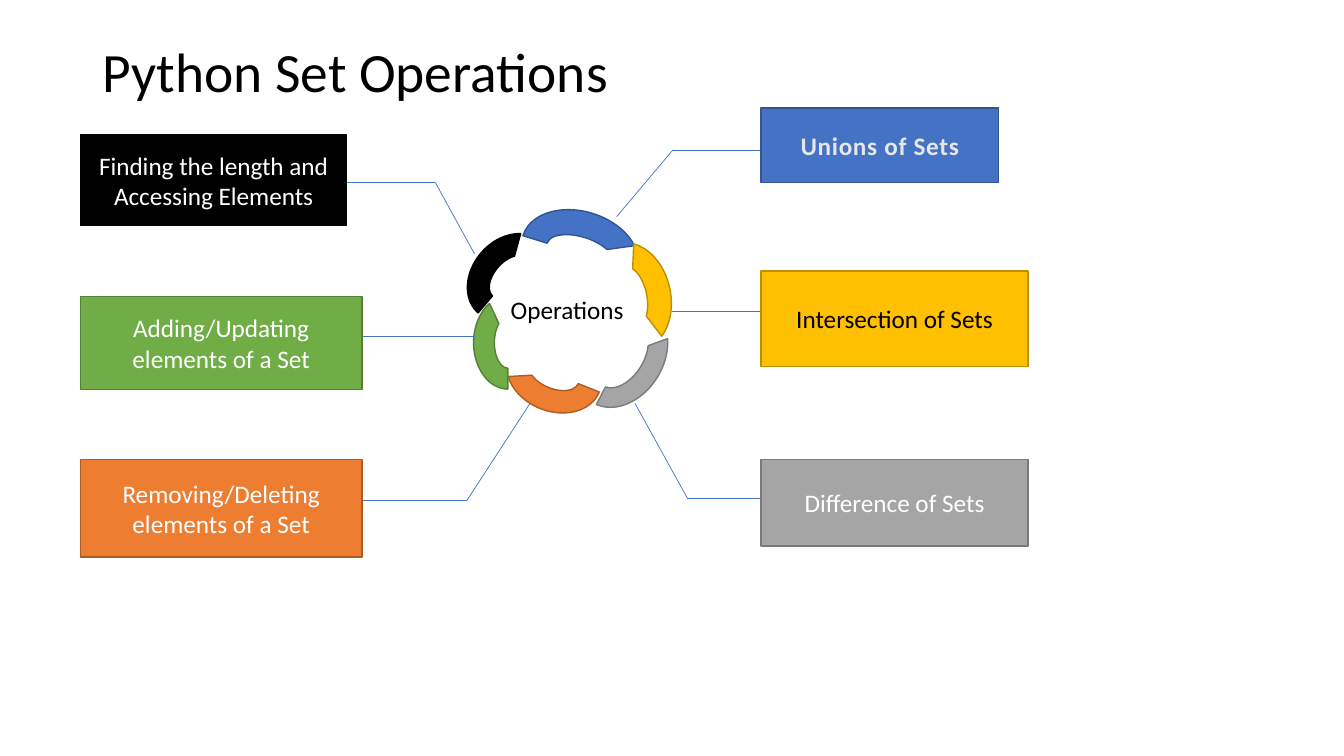
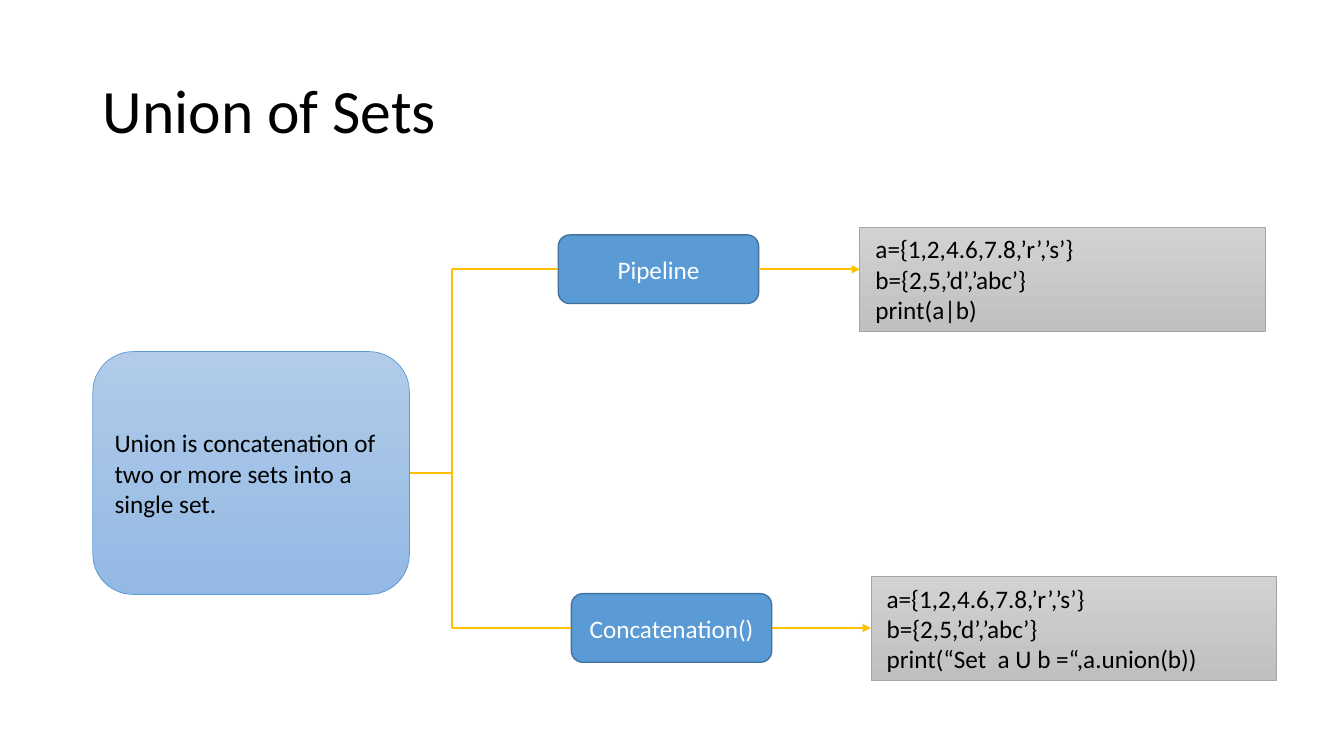
"""Build two slides on Python set operations: an overview wheel and the union methods."""
from itertools import pairwise

from lxml import etree
from pptx import Presentation
from pptx.dml.color import RGBColor
from pptx.enum.shapes import MSO_CONNECTOR, MSO_SHAPE
from pptx.enum.text import MSO_ANCHOR, PP_ALIGN
from pptx.oxml.ns import qn
from pptx.util import Cm, Pt

ARC, RECT, ROUNDED = MSO_SHAPE.BLOCK_ARC, MSO_SHAPE.RECTANGLE, MSO_SHAPE.ROUNDED_RECTANGLE
STRAIGHT = MSO_CONNECTOR.STRAIGHT
MIDDLE, LEFT, CENTER = MSO_ANCHOR.MIDDLE, PP_ALIGN.LEFT, PP_ALIGN.CENTER

FONT = "Calibri"
BODY_SIZE = 18
BLACK = RGBColor(0x00, 0x00, 0x00)
WHITE = RGBColor(0xFF, 0xFF, 0xFF)
PALE = RGBColor(0xE7, 0xE6, 0xE6)
BLUE = RGBColor(0x44, 0x72, 0xC4)
BLUE_EDGE = RGBColor(0x32, 0x54, 0x91)
GOLD = RGBColor(0xFF, 0xC0, 0x00)
GOLD_EDGE = RGBColor(0xBD, 0x8E, 0x00)
GRAY = RGBColor(0xA5, 0xA5, 0xA5)
GRAY_EDGE = RGBColor(0x7A, 0x7A, 0x7A)
ORANGE = RGBColor(0xED, 0x7D, 0x31)
ORANGE_EDGE = RGBColor(0xAF, 0x5C, 0x24)
GREEN = RGBColor(0x70, 0xAD, 0x47)
GREEN_EDGE = RGBColor(0x53, 0x80, 0x35)
SKY = RGBColor(0x5B, 0x9B, 0xD5)
SKY_EDGE = RGBColor(0x43, 0x73, 0x9E)
SKY_FADE = (RGBColor(0xB1, 0xCB, 0xE9), RGBColor(0x93, 0xB9, 0xE4))
GRAY_FADE = (RGBColor(0xD2, 0xD2, 0xD2), RGBColor(0xC0, 0xC0, 0xC0))

ARC_ADJ = (108, 200.931, 0.304)
OPERATIONS = [
    dict(label="Unions of Sets", fill=BLUE, edge=BLUE_EDGE, color=PALE, bold=True,
         arc=(13.11, 5.33, 3.02, 2.11), turn=17.1, adj=ARC_ADJ,
         box=(19.18, 2.72, 5.99, 1.88),
         leader=[(15.54, 5.46), (16.94, 3.8), (19.18, 3.8)]),
    dict(label="Intersection of Sets", fill=GOLD, edge=GOLD_EDGE, color=BLACK, bold=False,
         arc=(14.55, 6.48, 2.72, 1.98), turn=77.8, adj=(116.893, 200.931, 0.304),
         box=(19.18, 6.83, 6.73, 2.41),
         leader=[(16.94, 7.85), (19.18, 7.85)]),
    dict(label="Difference of Sets", fill=GRAY, edge=GRAY_EDGE, color=WHITE, bold=False,
         arc=(14.27, 7.9, 2.79, 2.11), turn=121.9, adj=(130.81, 213.16, 0.235),
         box=(19.18, 11.58, 6.73, 2.18),
         leader=[(16, 10.16), (17.32, 12.55), (19.18, 12.55)]),
    dict(label="Removing/Deleting elements of a Set", fill=ORANGE, edge=ORANGE_EDGE,
         color=WHITE, bold=False,
         arc=(12.73, 8.48, 2.46, 1.88), turn=201.8, adj=ARC_ADJ,
         box=(2.03, 11.58, 7.09, 2.46),
         leader=[(13.36, 10.16), (11.76, 12.62), (9.12, 12.62)]),
    dict(label="Adding/Updating elements of a Set", fill=GREEN, edge=GREEN_EDGE,
         color=WHITE, bold=False,
         arc=(11.63, 7.77, 2.34, 1.73), turn=270, adj=ARC_ADJ,
         box=(2.03, 7.47, 7.09, 2.34),
         leader=[(11.96, 8.48), (9.12, 8.48)]),
    dict(label="Finding the length and Accessing Elements", fill=BLACK, edge=BLACK,
         color=WHITE, bold=False,
         arc=(11.63, 6.05, 2.39, 1.85), turn=310.4, adj=ARC_ADJ,
         box=(2.03, 3.4, 6.71, 2.29),
         leader=[(11.96, 6.4), (10.97, 4.6), (8.74, 4.6)]),
]

DEFINITION = "Union is concatenation of two or more sets into a single set."
DEFINITION_BOX = (2.34, 8.86, 7.98, 6.12)
TRUNK_X = 11.4
METHOD_SIZE = (5.05, 1.73)
CODE_SIZE = (10.21, 2.62)
SETS = [" a={1,2,4.6,7.8,’r’,’s’}", " b={2,5,’d’,’abc’}"]
METHODS = [
    ("Pipeline", (14.07, 5.92), (21.67, 5.72), SETS + [" print(a|b)"]),
    ("Concatenation()", (14.4, 14.96), (21.95, 14.53),
     SETS + [" print(“Set  a U b =“,a.union(b))"]),
]


def write(tf, lines, color=BLACK, align=LEFT, size=BODY_SIZE, bold=False):
    tf.vertical_anchor = MIDDLE
    for i, line in enumerate(lines):
        p = tf.add_paragraph() if i else tf.paragraphs[0]
        p.add_run().text = line
        p.alignment = align
        p.font.name, p.font.size, p.font.bold = FONT, Pt(size), bold
        p.font.color.rgb = color


def add_text(s, at, text, size=BODY_SIZE, wrap=True):
    tf = s.shapes.add_textbox(*map(Cm, at)).text_frame
    tf.word_wrap = wrap
    write(tf, [text], size=size)
    return tf


def add_titled_slide(prs, title, size, height):
    s = prs.slides.add_slide(prs.slide_layouts[6])
    tf = add_text(s, (2.34, 1.02, 29.21, height), title, size)
    tf.paragraphs[0].line_spacing = 0.9
    return s


def add_panel(s, kind, at, fill, edge, width=1):
    sp = s.shapes.add_shape(kind, *map(Cm, at))
    sp.shadow.inherit = False
    if isinstance(fill, RGBColor):
        sp.fill.solid()
        sp.fill.fore_color.rgb = fill
    else:
        sp.fill.gradient()
        sp.fill.gradient_angle = 270
        for stop, color in zip(sp.fill.gradient_stops, fill):
            stop.color.rgb = color
    sp.line.color.rgb = edge
    sp.line.width = Pt(width)
    return sp


def add_path(s, points, color, width, arrow=False):
    for start, end in pairwise(points):
        line = s.shapes.add_connector(STRAIGHT, *map(Cm, start + end))
        line.line.color.rgb = color
        line.line.width = Pt(width)
        sp_pr = line._element.spPr
        if arrow:
            etree.SubElement(sp_pr.find(qn("a:ln")), qn("a:tailEnd"), type="triangle")
        etree.SubElement(sp_pr, qn("a:effectLst"))


def build_overview(prs):
    s = add_titled_slide(prs, "Python Set Operations", 39.6, 1.7)
    for op in OPERATIONS:
        arc = add_panel(s, ARC, op["arc"], op["fill"], op["edge"])
        arc.rotation = op["turn"]
        for i, value in enumerate(op["adj"]):
            arc.adjustments[i] = value
    add_text(s, (12.62, 7.29, 3.4, 1.02), "Operations", wrap=False)
    for op in OPERATIONS:
        add_path(s, op["leader"], BLUE, 0.5)
        tf = add_panel(s, RECT, op["box"], op["fill"], op["edge"]).text_frame
        write(tf, [op["label"]], op["color"], CENTER, bold=op["bold"])
        if op["bold"]:
            tf.paragraphs[0].runs[0]._r.get_or_add_rPr().set("spc", "50")


def build_union(prs):
    s = add_titled_slide(prs, "Union of Sets", 44, 3.68)
    left, top, width, height = DEFINITION_BOX
    sp = add_panel(s, ROUNDED, DEFINITION_BOX, SKY_FADE, SKY, 0.5)
    write(sp.text_frame, [DEFINITION])
    root_y = top + height / 2
    add_path(s, [(left + width, root_y), (TRUNK_X, root_y)], GOLD, 1.5)
    for name, method_at, code_at, code in METHODS:
        sp = add_panel(s, ROUNDED, method_at + METHOD_SIZE, SKY, SKY_EDGE)
        write(sp.text_frame, [name], WHITE, CENTER)
        sp = add_panel(s, RECT, code_at + CODE_SIZE, GRAY_FADE, GRAY, 0.5)
        write(sp.text_frame, code)
        x, y = method_at[0], method_at[1] + METHOD_SIZE[1] / 2
        add_path(s, [(TRUNK_X, root_y), (TRUNK_X, y), (x, y)], GOLD, 1.5)
        add_path(s, [(x + METHOD_SIZE[0], y), (code_at[0], y)], GOLD, 1.5, arrow=True)


def main():
    prs = Presentation()
    prs.slide_width, prs.slide_height = Cm(33.87), Cm(19.05)
    build_overview(prs)
    build_union(prs)
    prs.save("out.pptx")


if __name__ == "__main__":
    main()
